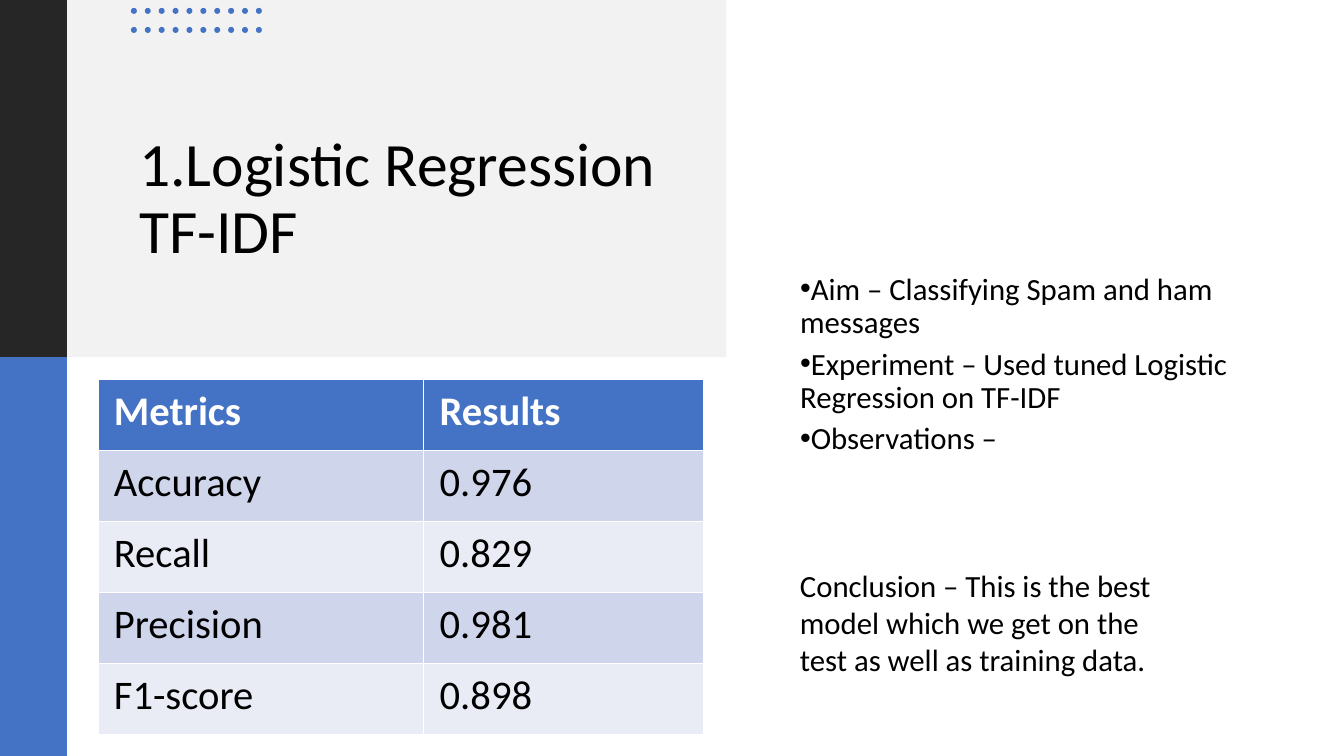
from pptx import Presentation
from pptx.dml.color import RGBColor
from pptx.enum.shapes import MSO_SHAPE
from pptx.enum.text import MSO_ANCHOR, MSO_AUTO_SIZE, PP_ALIGN
from pptx.oxml.xmlchemy import OxmlElement
from pptx.util import Cm, Pt

RECTANGLE, OVAL = MSO_SHAPE.RECTANGLE, MSO_SHAPE.OVAL
MIDDLE, LEFT = MSO_ANCHOR.MIDDLE, PP_ALIGN.LEFT
NO_AUTOFIT = MSO_AUTO_SIZE.NONE

BLACK = RGBColor(0x00, 0x00, 0x00)
WHITE = RGBColor(0xFF, 0xFF, 0xFF)
CHARCOAL = RGBColor(0x26, 0x26, 0x26)
PALE_GREY = RGBColor(0xF2, 0xF2, 0xF2)
BLUE = RGBColor(0x44, 0x72, 0xC4)
BANDS = [RGBColor(0xE9, 0xEB, 0xF5), RGBColor(0xCF, 0xD5, 0xEA)]

METRICS = [
    ("Metrics", "Results"),
    ("Accuracy", "0.976"),
    ("Recall", "0.829"),
    ("Precision", "0.981"),
    ("F1-score", "0.898"),
]
POINTS = [
    "Aim – Classifying Spam and ham messages",
    "Experiment – Used tuned Logistic Regression on TF-IDF",
    "Observations –",
]

deck = Presentation()
deck.slide_width, deck.slide_height = Cm(33.87), Cm(19.05)
page = deck.slides.add_slide(deck.slide_layouts[1])


def add_block(kind, left, top, width, height, color):
    block = page.shapes.add_shape(kind, Cm(left), Cm(top), Cm(width), Cm(height))
    block.shadow.inherit = False
    block.fill.solid()
    block.fill.fore_color.rgb = color
    block.line.fill.background()
    return block


def style_text(para, size, color=BLACK, bold=False):
    para.alignment = LEFT
    para.font.name = "Calibri"
    para.font.size = Pt(size)
    para.font.bold = bold
    para.font.color.rgb = color


# Title on its grey panel
title = page.shapes.title
panel = add_block(RECTANGLE, 0, 0, 18.31, 9, PALE_GREY)
title.element.addprevious(panel.element)
title.left, title.top, title.width, title.height = Cm(3.25), Cm(1.83), Cm(13.69), Cm(6.43)
title.text_frame.text = "1.Logistic Regression TF-IDF"
title.text_frame.vertical_anchor = MIDDLE
title.text_frame.auto_size = NO_AUTOFIT
title_para = title.text_frame.paragraphs[0]
title_para.line_spacing = 0.9
style_text(title_para, 44)

# Side bars
add_block(RECTANGLE, 0, 0, 1.69, 9, CHARCOAL)
add_block(RECTANGLE, 0, 9, 1.69, 10.05, BLUE)

# Dot grid
for row in range(2):
    for column in range(10):
        add_block(OVAL, 3.3 + 0.35 * column, 0.2 + 0.48 * row, 0.15, 0.15, BLUE)

# Bulleted points
body = page.placeholders[1]
body.left, body.top, body.width, body.height = Cm(19.91), Cm(1.45), Cm(12.5), Cm(15.5)
body.text_frame.text = "\n".join(POINTS)
body.text_frame.vertical_anchor = MIDDLE
body.text_frame.auto_size = NO_AUTOFIT
for para in body.text_frame.paragraphs:
    para.line_spacing = 0.9
    para.space_before, para.space_after = Pt(0), Pt(6)
    style_text(para, 22)
    properties = para._p.get_or_add_pPr()
    properties.set("marL", "0")
    properties.set("indent", str(-Cm(0.64)))
    bullet = OxmlElement("a:buChar")
    bullet.set("char", "•")
    properties.append(bullet)

# Conclusion
conclusion = page.shapes.add_textbox(Cm(19.91), Cm(14.15), Cm(9.42), Cm(3.07))
conclusion.text_frame.word_wrap = True
conclusion.text_frame.text = (
    "Conclusion – This is the best model which we get on the test as well as training data."
)
conclusion_para = conclusion.text_frame.paragraphs[0]
conclusion_para.space_after = Pt(6)
style_text(conclusion_para, 22)

# Metrics table
table = page.shapes.add_table(
    len(METRICS), 2, Cm(2.47), Cm(9.56), Cm(15.25), Cm(8.95)
).table
table.columns[0].width, table.columns[1].width = Cm(8.21), Cm(7.04)
for row, values in enumerate(METRICS):
    header = row == 0
    for column, value in enumerate(values):
        cell = table.cell(row, column)
        cell.text = value
        cell.margin_left = cell.margin_right = Cm(0.4)
        cell.margin_top = cell.margin_bottom = Cm(0.2)
        cell.fill.solid()
        cell.fill.fore_color.rgb = BLUE if header else BANDS[row % 2]
        style_text(cell.text_frame.paragraphs[0], 29, WHITE if header else BLACK, header)

deck.save("out.pptx")
